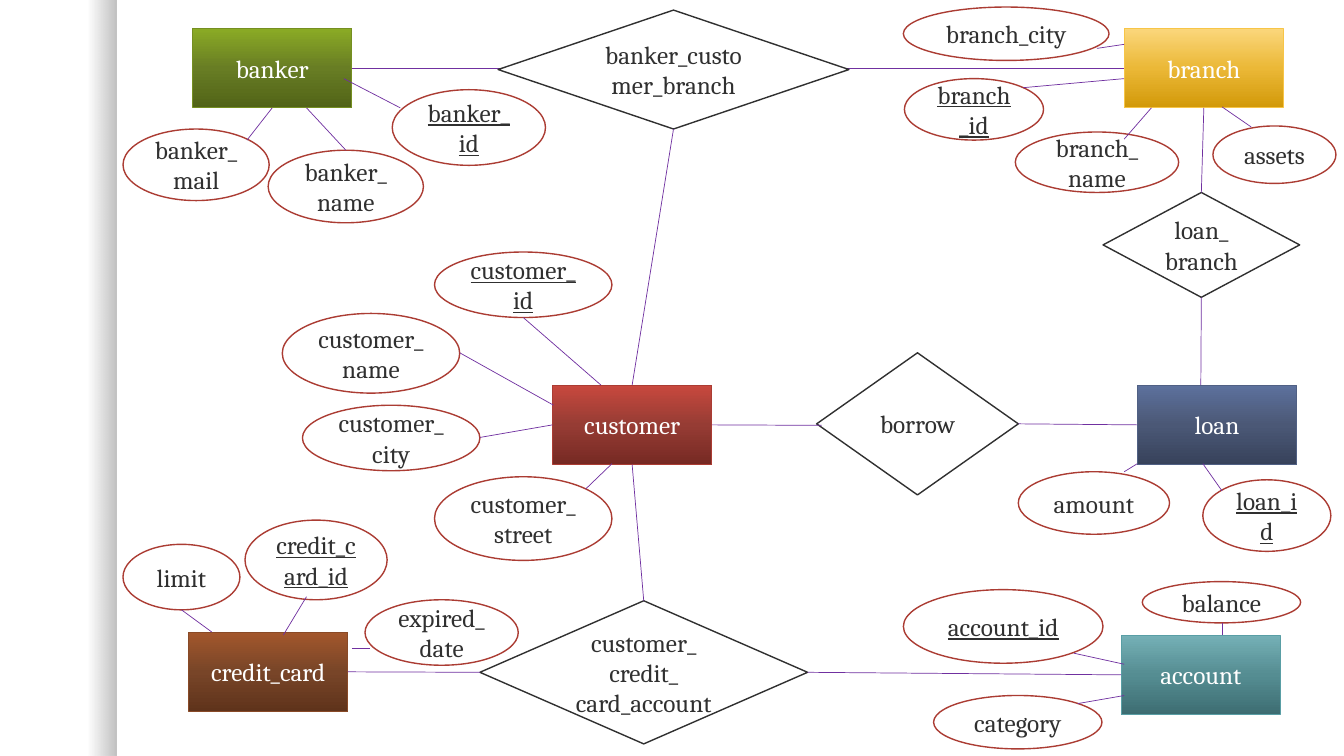
from dataclasses import dataclass
from typing import NamedTuple, Union

from pptx import Presentation
from pptx.dml.color import RGBColor
from pptx.enum.shapes import MSO_CONNECTOR, MSO_SHAPE
from pptx.enum.text import MSO_ANCHOR, PP_ALIGN
from pptx.oxml.ns import qn
from pptx.util import Inches, Pt
from lxml import etree

RECT, DIAMOND, ELLIPSE = MSO_SHAPE.RECTANGLE, MSO_SHAPE.FLOWCHART_DECISION, MSO_SHAPE.OVAL
STRAIGHT = MSO_CONNECTOR.STRAIGHT
CENTER, MIDDLE = PP_ALIGN.CENTER, MSO_ANCHOR.MIDDLE
TOP, LEFT, BOTTOM, RIGHT = range(4)


@dataclass(frozen=True)
class Theme:
    font: str = "Cambria"
    size: float = 18
    paper: str = "FFFFFF"
    ink: str = "303030"
    attribute: str = "AB3C33"
    link: str = "7030A0"
    shade: str = "000000"
    thin: float = 0.5
    outline: float = 1


class Stop(NamedTuple):
    percent: int
    color: str
    alpha: int = 100


class Entity(NamedTuple):
    name: str
    left: float
    top: float
    colors: tuple[str, str, str]
    line: str


class Node(NamedTuple):
    name: str
    left: float
    top: float
    width: float
    height: float
    key: bool = False


class Port(NamedTuple):
    name: str
    side: int


class Point(NamedTuple):
    x: float
    y: float


End = Union[Port, Point]

THEME = Theme()
ENTITY_W, ENTITY_H = 1.58, 0.79

ENTITIES = [
    Entity("banker", 1.91, 0.28, ("8BAB25", "687D24", "516317"), "758F21"),
    Entity("branch", 11.15, 0.28, ("FBD77C", "EBB837", "D29909"), "F7C547"),
    Entity("customer", 5.48, 3.82, ("C8483E", "963C34", "762923"), "AB3C33"),
    Entity("loan", 11.28, 3.82, ("5D719D", "4B5876", "37425B"), "506084"),
    Entity("credit_card", 1.87, 6.27, ("A3572C", "784528", "5F331B"), "894A27"),
    Entity("account", 11.12, 6.3, ("75B0B6", "558D92", "3D6D72"), "599EA5"),
]

RELATIONS = [
    Node("banker_customer_branch", 4.94, 0.1, 3.48, 1.18),
    Node("borrow", 8.1, 3.5, 2, 1.41),
    Node("customer_ credit_ card_account", 4.76, 5.96, 3.25, 1.42),
    Node("loan_\nbranch", 10.94, 1.91, 1.95, 1.04),
]
TRIPLE, BORROW, CARD_ACCOUNT, LOAN_BRANCH = (n.name for n in RELATIONS)

ATTRIBUTES = [
    Node("banker_mail", 1.22, 1.28, 1.45, 0.71),
    Node("banker_name", 2.66, 1.49, 1.54, 0.72),
    Node("banker_id", 3.89, 0.89, 1.52, 0.75, key=True),
    Node("amount", 10.1, 4.68, 1.5, 0.62),
    Node("loan_id", 11.93, 4.76, 1.27, 0.71, key=True),
    Node("limit", 1.22, 5.4, 1.16, 0.65),
    Node("credit_card_id", 2.43, 5.16, 1.41, 0.79, key=True),
    Node("expired_date", 3.62, 5.95, 1.52, 0.65),
    Node("customer_id", 4.31, 2.5, 1.76, 0.65, key=True),
    Node("customer_name", 2.8, 3.11, 1.76, 0.79),
    Node("customer_city", 3, 4.02, 1.76, 0.65),
    Node("customer_street", 4.31, 4.73, 1.76, 0.83),
    Node("branch_id", 8.97, 0.78, 1.38, 0.61, key=True),
    Node("branch_name", 10.07, 1.31, 1.62, 0.6),
    Node("branch_city", 8.96, 0.07, 2.04, 0.53),
    Node("assets", 12.03, 1.25, 1.22, 0.57),
    Node("balance", 11.33, 5.77, 1.57, 0.41),
    Node("account_id", 8.96, 5.85, 1.98, 0.73, key=True),
    Node("category", 9.26, 6.9, 1.67, 0.53),
]

LINKS: list[tuple[End, End]] = [
    # Entities to relations
    (Port(TRIPLE, BOTTOM), Port("customer", TOP)),
    (Port("customer", RIGHT), Point(8.15, 4.22)),
    (Port(BORROW, RIGHT), Port("loan", LEFT)),
    (Port("credit_card", RIGHT), Port(CARD_ACCOUNT, LEFT)),
    (Port(CARD_ACCOUNT, RIGHT), Port("account", LEFT)),
    (Port("customer", BOTTOM), Port(CARD_ACCOUNT, TOP)),
    (Port("branch", BOTTOM), Port(LOAN_BRANCH, TOP)),
    (Port(LOAN_BRANCH, BOTTOM), Point(11.91, 3.82)),
    # Entities to attributes
    (Point(2.7, 1.07), Point(2.45, 1.39)),
    (Point(3.04, 1.07), Point(3.43, 1.49)),
    (Point(3.41, 0.78), Point(3.97, 1.07)),
    (Point(11.15, 4.68), Point(11.28, 4.6)),
    (Point(11.93, 4.6), Point(12.12, 4.87)),
    (Point(1.8, 6.05), Point(2.1, 6.27)),
    (Point(3.04, 5.92), Point(2.81, 6.3)),
    (Point(3.49, 6.43), Point(3.67, 6.43)),
    (Point(5.19, 3.15), Point(5.96, 3.82)),
    (Point(4.56, 3.5), Point(5.49, 4.02)),
    (Point(4.76, 4.34), Port("customer", LEFT)),
    (Point(5.81, 4.85), Point(6.07, 4.6)),
    (Point(10.15, 0.87), Point(11.15, 0.78)),
    (Point(11.42, 1.07), Point(11.15, 1.38)),
    (Point(11.15, 0.44), Point(10.88, 0.48)),
    (Point(12.12, 1.06), Point(12.41, 1.26)),
    (Point(12.12, 6.18), Point(12.12, 6.3)),
    (Point(10.65, 6.48), Point(11.15, 6.59)),
    (Point(10.69, 6.98), Point(11.15, 6.9)),
]


def rgb(color: str) -> RGBColor:
    return RGBColor.from_string(color)


def fill_gradient(shape, stops: list[Stop], angle: float) -> None:
    shape.fill.gradient()
    shape.fill.gradient_angle = angle
    stop_list = shape.fill._xPr.find(".//" + qn("a:gsLst"))
    for old in list(stop_list):
        stop_list.remove(old)
    for stop in stops:
        gs = etree.SubElement(stop_list, qn("a:gs"), pos=str(stop.percent * 1000))
        color = etree.SubElement(gs, qn("a:srgbClr"), val=stop.color)
        if stop.alpha < 100:
            etree.SubElement(color, qn("a:alpha"), val=str(stop.alpha * 1000))


def add_node(slide, kind, node: Node, line: str, width: float, ink: str):
    box = (Inches(v) for v in (node.left, node.top, node.width, node.height))
    s = slide.shapes.add_shape(kind, *box)
    s.shadow.inherit = False
    s.fill.solid()
    s.fill.fore_color.rgb = rgb(THEME.paper)
    s.line.color.rgb = rgb(line)
    s.line.width = Pt(width)
    tf = s.text_frame
    tf.text = node.name
    tf.vertical_anchor = MIDDLE
    for p in tf.paragraphs:
        p.alignment = CENTER
        for r in p.runs:
            r.font.name, r.font.size = THEME.font, Pt(THEME.size)
            r.font.color.rgb = rgb(ink)
            if node.key:
                r.font.underline = True
    return s


def add_link(slide, shapes: dict, begin: End, end: End) -> None:
    ends = [e if isinstance(e, Point) else Point(0, 0) for e in (begin, end)]
    c = slide.shapes.add_connector(STRAIGHT, *(Inches(v) for e in ends for v in e))
    for e, connect in ((begin, c.begin_connect), (end, c.end_connect)):
        if isinstance(e, Port):
            connect(shapes[e.name], e.side)
    c.line.color.rgb = rgb(THEME.link)
    c.line.width = Pt(THEME.thin)
    etree.SubElement(c._element.spPr, qn("a:effectLst"))


def main() -> None:
    prs = Presentation()
    prs.slide_width, prs.slide_height = Inches(13.33), Inches(7.5)
    slide = prs.slides.add_slide(prs.slide_layouts[6])

    # Shaded left margin
    margin = slide.shapes.add_shape(RECT, 0, 0, Inches(1.16), prs.slide_height)
    margin.shadow.inherit = False
    margin.line.fill.background()
    fill_gradient(margin, [Stop(75, THEME.shade, 0), Stop(100, THEME.shade, 25)], 0)

    # Entities, with the long link that runs behind a relation
    shapes = {}
    for e in ENTITIES:
        node = Node(e.name, e.left, e.top, ENTITY_W, ENTITY_H)
        shapes[e.name] = add_node(slide, RECT, node, e.line, THEME.thin, THEME.paper)
        fill_gradient(shapes[e.name], [Stop(*s) for s in zip((0, 50, 100), e.colors)], 270)
    add_link(slide, shapes, Port("banker", RIGHT), Port("branch", LEFT))

    # Relations and attributes
    for kind, nodes, line in ((DIAMOND, RELATIONS, THEME.ink), (ELLIPSE, ATTRIBUTES, THEME.attribute)):
        for node in nodes:
            shapes[node.name] = add_node(slide, kind, node, line, THEME.outline, THEME.ink)

    # Links
    for begin, end in LINKS:
        add_link(slide, shapes, begin, end)

    prs.save("out.pptx")


if __name__ == "__main__":
    main()
